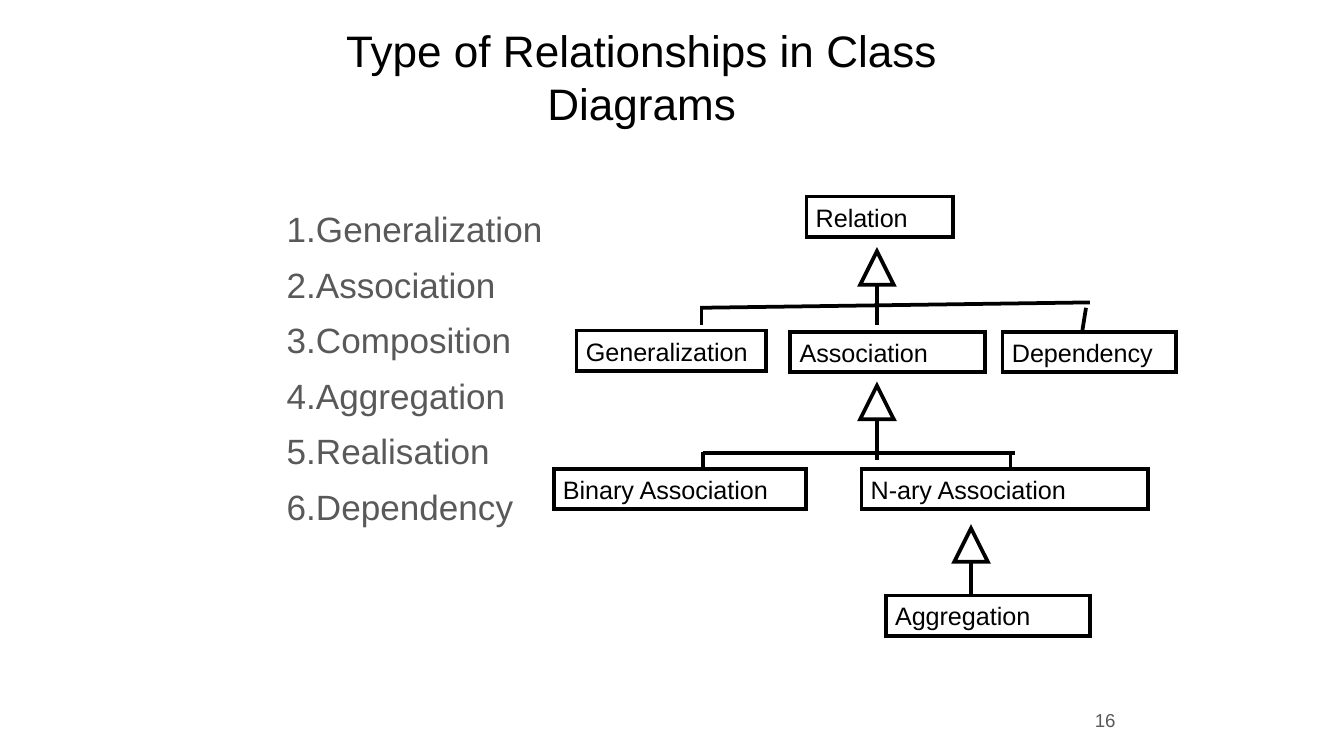
"""Build a slide that shows the types of relationships in class diagrams."""
from lxml.etree import SubElement
from pptx import Presentation
from pptx.dml.color import RGBColor
from pptx.enum.shapes import MSO_CONNECTOR, MSO_SHAPE
from pptx.enum.text import MSO_ANCHOR, PP_ALIGN
from pptx.oxml.ns import qn
from pptx.util import Pt

COLORS = {"black": "000000", "white": "FFFFFF", "gray": "595959"}
FONT = "Arial"
LINE_WIDTH = 2
BOX_HEIGHT = 21.6
TRIANGLE_SIZE = 18

TITLE = "Type of Relationships in Class Diagrams"
RELATIONSHIPS = ["Generalization", "Association", "Composition",
                 "Aggregation", "Realisation", "Dependency"]
PAGE_NUMBER = "16"

CLASS_BOXES = [
    ("Relation", 432, 105.3, 78.5),
    ("Association", 423.4, 177.8, 104.4),
    ("Generalization", 308.9, 177.1, 101.5),
    ("Dependency", 537.1, 177.8, 92.9),
    ("Aggregation", 474.5, 319, 109.4),
    ("Binary Association", 296.6, 251.3, 135.4),
    ("N-ary Association", 461.5, 251.3, 153.4),
]
INHERITANCE_ARROWS = [
    (469.8, 134.6, 174.2),
    (469.8, 206.6, 246.2),
    (520.2, 283, 318.2),
]
BRANCH_LINES = [
    (375.1, 164.9, 583.9, 162),
    (375.8, 165.6, 375.8, 174.2),
    (581.8, 164.9, 579.6, 178.6),
    (376.6, 242.6, 543.6, 242.6),
    (376.6, 242, 376.6, 250.6),
    (541.4, 242, 541.4, 250.6),
]


def color(name):
    return RGBColor.from_string(COLORS[name])


def write_text(shape, lines, size, ink="black", align=PP_ALIGN.LEFT,
               anchor=MSO_ANCHOR.TOP, left_inset=5, line_spacing=1.0, gap=0):
    frame = shape.text_frame
    frame.word_wrap = True
    frame.vertical_anchor = anchor
    frame.margin_left, frame.margin_right = Pt(left_inset), Pt(5)
    frame.margin_top = frame.margin_bottom = Pt(2.9)
    for index, line in enumerate(lines):
        paragraph = frame.paragraphs[0] if index == 0 else frame.add_paragraph()
        paragraph.alignment = align
        paragraph.line_spacing = line_spacing
        paragraph.space_before = Pt(gap if index else 0)
        run = paragraph.add_run()
        run.text = line
        run.font.name = FONT
        run.font.size = Pt(size)
        run.font.color.rgb = color(ink)


def add_text(slide, lines, left, top, width, height, **style):
    box = slide.shapes.add_textbox(Pt(left), Pt(top), Pt(width), Pt(height))
    write_text(box, lines, **style)


def style_line(shape):
    shape.line.color.rgb = color("black")
    shape.line.width = Pt(LINE_WIDTH)
    outline = shape._element.spPr.find(qn("a:ln"))
    SubElement(outline, qn("a:miter"), lim="800000")


def add_outlined(slide, kind, left, top, width, height):
    shape = slide.shapes.add_shape(kind, Pt(left), Pt(top), Pt(width), Pt(height))
    shape.shadow.inherit = False
    shape.fill.solid()
    shape.fill.fore_color.rgb = color("white")
    style_line(shape)
    return shape


def add_line(slide, *ends):
    connector = slide.shapes.add_connector(MSO_CONNECTOR.STRAIGHT, *map(Pt, ends))
    style_line(connector)
    SubElement(connector._element.spPr, qn("a:effectLst"))


def add_inheritance_arrow(slide, center, top, bottom):
    add_outlined(slide, MSO_SHAPE.ISOSCELES_TRIANGLE, center - TRIANGLE_SIZE / 2,
                 top, TRIANGLE_SIZE, TRIANGLE_SIZE)
    add_line(slide, center, top + TRIANGLE_SIZE, center, bottom)


def main():
    presentation = Presentation()
    presentation.slide_width, presentation.slide_height = Pt(720), Pt(405)
    slide = presentation.slides.add_slide(presentation.slide_layouts[6])

    add_text(slide, [TITLE], 179.3, 7.2, 329, 67.7, size=23.6,
             align=PP_ALIGN.CENTER, anchor=MSO_ANCHOR.MIDDLE)
    numbered = [f"{number}.{name}" for number, name in enumerate(RELATIONSHIPS, 1)]
    add_text(slide, numbered, 143.3, 105.1, 178.6, 220.3, size=18.8, ink="gray",
             left_inset=10.3, line_spacing=1.15, gap=3.8)
    add_text(slide, [PAGE_NUMBER], 476.6, 375.1, 126, 21.6, size=10, ink="gray",
             align=PP_ALIGN.RIGHT, anchor=MSO_ANCHOR.MIDDLE)

    for name, left, top, width in CLASS_BOXES:
        box = add_outlined(slide, MSO_SHAPE.RECTANGLE, left, top, width, BOX_HEIGHT)
        write_text(box, [name], 13.5)
    for arrow in INHERITANCE_ARROWS:
        add_inheritance_arrow(slide, *arrow)
    for ends in BRANCH_LINES:
        add_line(slide, *ends)

    presentation.save("out.pptx")


if __name__ == "__main__":
    main()
